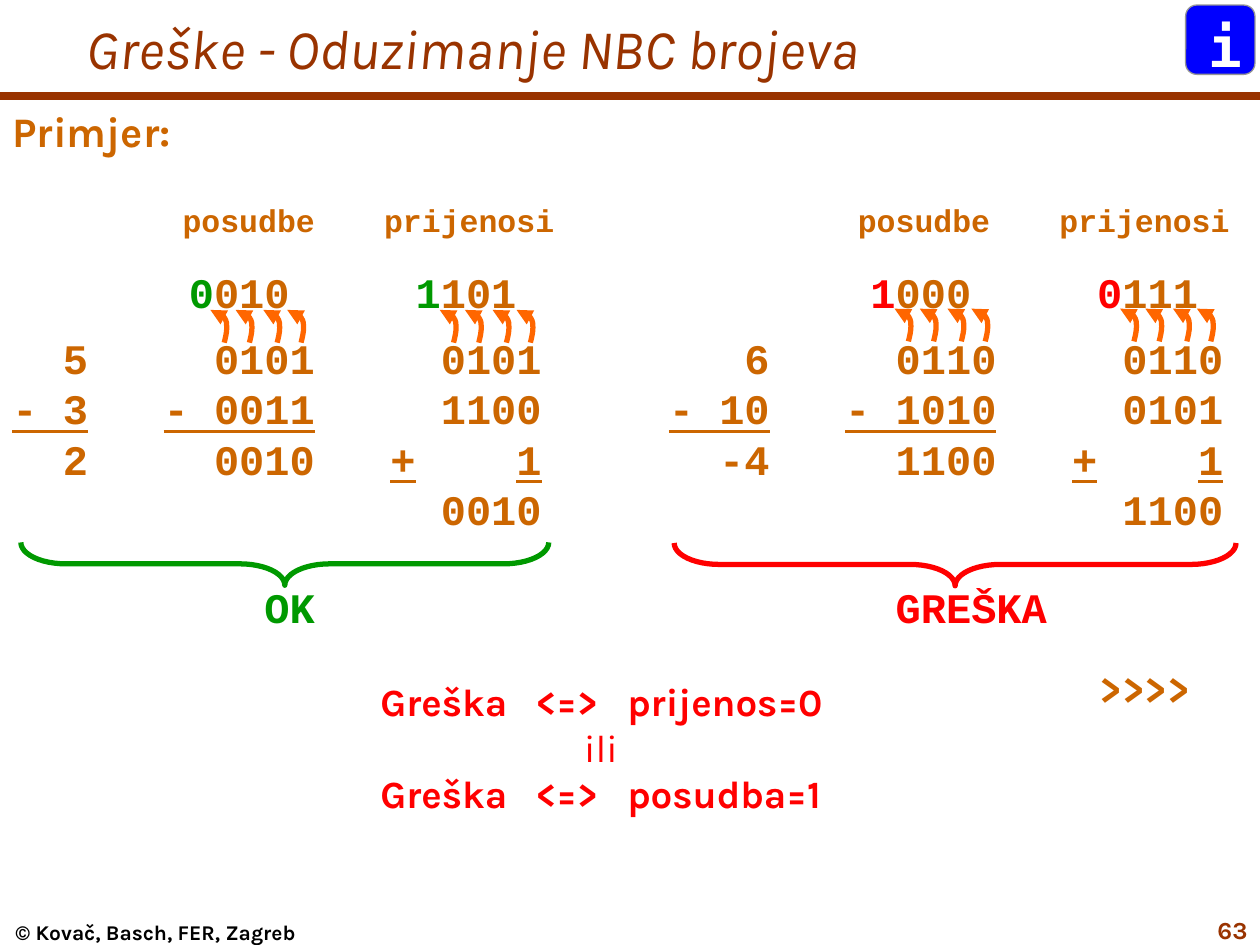
"""Build the slide on errors when subtracting NBC numbers."""
import pptx
import pptx.util
import pptx.dml.color
import pptx.enum.shapes
import pptx.enum.text
import pptx.oxml.ns
import lxml.etree

Inches = pptx.util.Inches
Pt = pptx.util.Pt
qn = pptx.oxml.ns.qn
Shape = pptx.enum.shapes.MSO_SHAPE
Align = pptx.enum.text.PP_ALIGN


class Theme:
    rust, amber, flame = "993300", "CC6600", "FF6600"
    green, red, blue = "009900", "FF0000", "0000FF"
    gray, white, black = "969696", "FFFFFF", "000000"
    sans, mono, icon = "Karla", "Courier New", "DejaVu Sans Mono"
    title, body, rule, head, page, foot = 32, 24, 22, 18, 14, 12


def color(name):
    return pptx.dml.color.RGBColor.from_string(name)


def write(at, rows, tone, size, face=Theme.sans, bold=True, pad=(0.1, 0.05)):
    box = slide.shapes.add_textbox(*[Inches(v) for v in at])
    frame = box.text_frame
    frame.word_wrap = True
    frame.margin_left = frame.margin_right = Inches(pad[0])
    frame.margin_top = frame.margin_bottom = Inches(pad[1])
    for i, row in enumerate(rows):
        para = frame.paragraphs[0] if i == 0 else frame.add_paragraph()
        para.alignment = row.get("align", Align.LEFT)
        if "gap" in row:
            para.space_before = Pt(row["gap"])
        if "tabs" in row:
            stops = lxml.etree.SubElement(para._p.get_or_add_pPr(), qn("a:tabLst"))
            for place, side in row["tabs"]:
                lxml.etree.SubElement(stops, qn("a:tab"), pos=str(Inches(place)), algn=side)
        para.font.name = face
        para.font.size = Pt(row.get("size", size))
        para.font.bold = row.get("bold", bold)
        para.font.color.rgb = color(tone)
        for text, mark in row["runs"]:
            run = para.add_run()
            run.text = text
            if mark == "line":
                run.font.underline = True
            elif mark:
                run.font.color.rgb = color(mark)
    return box


deck = pptx.Presentation()
deck.slide_width, deck.slide_height = Inches(10), Inches(7.5)
slide = deck.slides.add_slide(deck.slide_layouts[6])

bar = slide.shapes.add_connector(
    pptx.enum.shapes.MSO_CONNECTOR.STRAIGHT, 0, Inches(0.76), Inches(10), Inches(0.76))
bar.line.color.rgb = color(Theme.rust)
bar.line.width = Pt(4.5)
lxml.etree.SubElement(bar._element.spPr, qn("a:effectLst"))

write((0, 7.3, 2.47, 0.2), [{"runs": [("© Kovač, Basch, FER, Zagreb", None)], "align": Align.CENTER}],
      Theme.black, Theme.foot, pad=(0, 0))
title = write((0.59, 0, 9.41, 0.75), [{"runs": [("Greške - Oduzimanje NBC brojeva", None)]}],
              Theme.rust, Theme.title, bold=False)
title.text_frame.vertical_anchor = pptx.enum.text.MSO_ANCHOR.MIDDLE
title.text_frame.paragraphs[0].font.italic = True
write((0, 0.79, 1.77, 0.5), [{"runs": [("Primjer:", None)]}], Theme.amber, Theme.body)
write((8.63, 5.21, 1.37, 0.5), [{"runs": [(">>>>", None)]}], Theme.amber, Theme.body)
write((9.17, 7.21, 0.83, 0.28), [{"runs": [("63", None)], "align": Align.RIGHT}],
      Theme.rust, Theme.page)

stops = [(0.53, "l"), (2.01, "ctr"), (2.49, "l")]
write((2.39, 5.33, 4.76, 1.2), [
    {"runs": [("\tGreška\t<=>\tprijenos=0", None)], "tabs": stops},
    {"runs": [("ili", None)], "align": Align.CENTER, "bold": False},
    {"runs": [("\tGreška\t<=>\tposudba=1", None)], "tabs": stops},
], Theme.red, Theme.rule)

cases = [
    dict(left=0, shift=0, tone=Theme.green, word="OK", start=2.0, head=(2.4, 4.3),
         carry=("0", "010", "1", "101"), nums=("5", "- 3", "2"),
         loan=("0101", "- 0011", "0010"), comp=("0101", "1100", "0010"),
         tips=(1.67, 3.49), top=2.46, brace=(2.09, 2.38, 0.34, 4.19)),
    dict(left=5.21, shift=0.2, tone=Theme.red, word="GREŠKA", start=1.8, head=(2.55, 4.45),
         carry=("1", "000", "0", "111"), nums=("6", "- 10", "-4"),
         loan=("0110", "- 1010", "1100"), comp=("0110", "0101", "1100"),
         tips=(7.1, 8.89), top=2.45, brace=(7.41, 2.25, 0.34, 4.46)),
]
curve = [(0.11, 0.26), (0.12, 0.22), (0.13, 0.18), (0.13, 0.14), (0.13, 0.11),
         (0.13, 0.09), (0.11, 0.06), (0.09, 0.04), (0.05, 0.02), (0, 0)]

for case in cases:
    shift, tone = case["shift"], case["tone"]
    first, second, third = [(edge + shift, "r") for edge in (0.6, 2.4, 4.2)]
    nums, loan, comp, carry = case["nums"], case["loan"], case["comp"], case["carry"]
    write((case["left"], 1.55, 4.79, 3.57), [
        {"runs": [("\tposudbe\tprijenosi", None)], "size": Theme.head,
         "tabs": [(edge, "r") for edge in case["head"]]},
        {"runs": [("\t", None), (carry[0], tone), (carry[1] + "\t", None),
                  (carry[2], tone), (carry[3], None)],
         "tabs": [(2.2 + shift, "r"), (4 + shift, "r")], "gap": 15.4},
        {"runs": [(f"\t{nums[0]}\t{loan[0]}\t{comp[0]}", None)],
         "tabs": [first, second, third], "gap": 9},
        {"runs": [(nums[1], "line"), ("\t", None), (loan[1], "line"), ("\t" + comp[1], None)],
         "tabs": [second, third]},
        {"runs": [(f"\t{nums[2]}\t{loan[2]}\t", None), ("+\t1", "line")],
         "tabs": [first, second, (3 + shift, "l"), third]},
        {"runs": [("\t" + comp[2], None)], "tabs": [third]},
        {"runs": [("\t", None), (case["word"], tone)],
         "tabs": [(case["start"], "l")], "gap": 27.2},
    ], Theme.amber, Theme.body, Theme.mono)

    for tip in case["tips"]:
        for step in (0, 0.2, 0.42, 0.61):
            dots = [(Inches(tip + step + x), Inches(case["top"] + y)) for x, y in curve]
            pen = slide.shapes.build_freeform(*dots[0])
            pen.add_line_segments(dots[1:], close=False)
            arrow = pen.convert_to_shape()
            arrow.shadow.inherit = False
            arrow.fill.background()
            arrow.line.color.rgb = color(Theme.flame)
            arrow.line.width = Pt(3)
            lxml.etree.SubElement(arrow.line._get_or_add_ln(), qn("a:tailEnd"), type="triangle")
            trace = arrow._element.find(".//" + qn("a:path"))
            lines = trace.findall(qn("a:lnTo"))
            for k in range(0, len(lines), 3):
                bend = lxml.etree.SubElement(trace, qn("a:cubicBezTo"))
                for line in lines[k:k + 3]:
                    bend.append(line[0])
                    trace.remove(line)

    brace = slide.shapes.add_shape(Shape.RIGHT_BRACE, *[Inches(v) for v in case["brace"]])
    brace.rotation = 90
    brace.adjustments[0] = 1.05
    brace.shadow.inherit = False
    brace.fill.background()
    brace.line.color.rgb = color(tone)
    brace.line.width = Pt(3)

badge = slide.shapes.add_shape(
    Shape.ROUNDED_RECTANGLE, Inches(9.41), Inches(0.04), Inches(0.55), Inches(0.55))
badge.adjustments[0] = 0.16
badge.shadow.inherit = False
badge.fill.solid()
badge.fill.fore_color.rgb = color(Theme.blue)
badge.line.color.rgb = color(Theme.gray)
badge.line.width = Pt(0.75)
write((9.49, 0.04, 0.39, 0.64), [{"runs": [("i", None)]}], Theme.white, Theme.title, Theme.icon)

deck.save("out.pptx")
